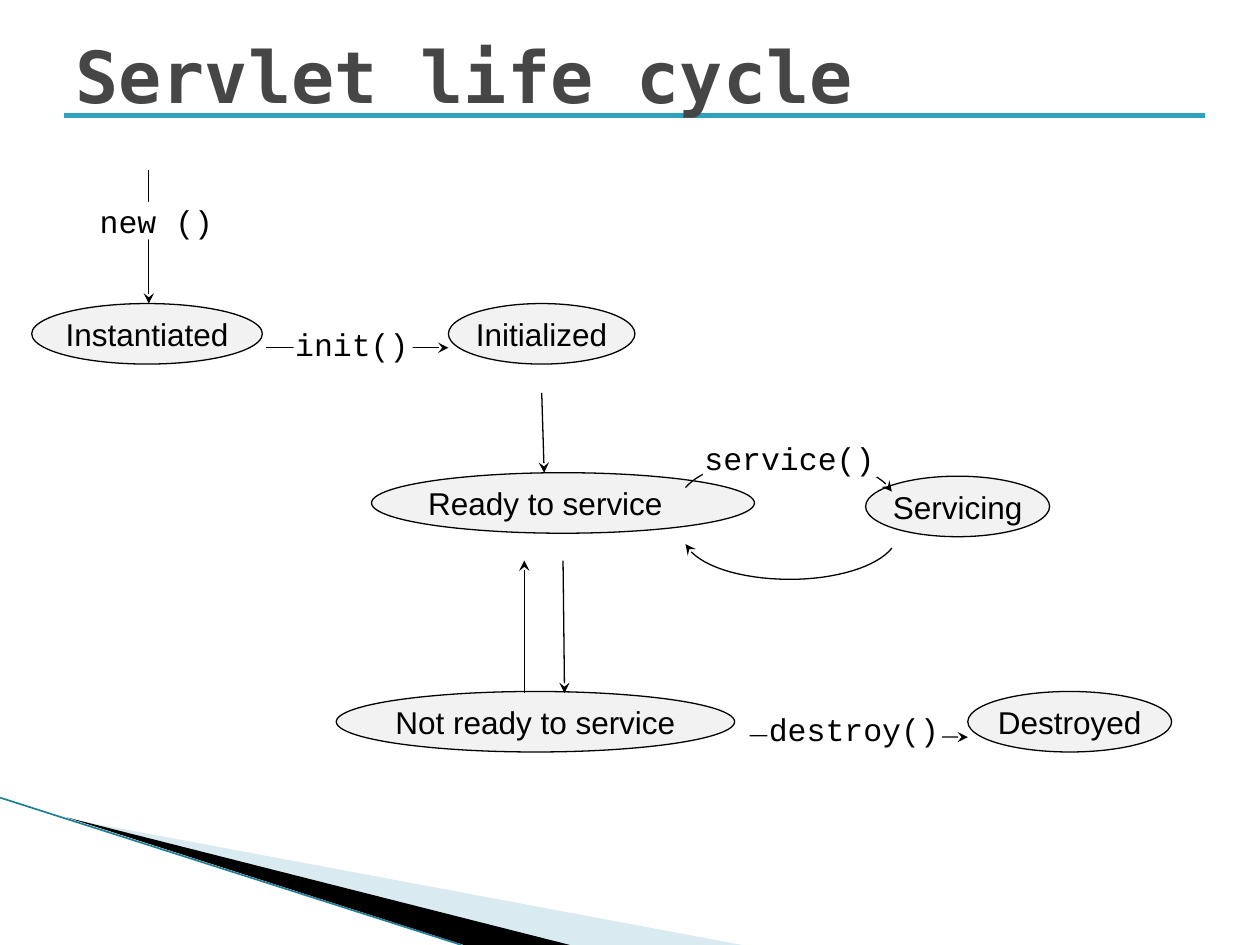
from dataclasses import dataclass
from lxml.etree import SubElement as Sub
from pptx import Presentation
from pptx.dml.color import RGBColor as Rgb
from pptx.enum.shapes import MSO_CONNECTOR as Conn, MSO_SHAPE as Kind
from pptx.enum.text import MSO_ANCHOR as Anchor, PP_ALIGN as Align
from pptx.oxml.ns import qn
from pptx.util import Cm, Pt


@dataclass(frozen=True)
class Theme:
    """Colours, fonts and type sizes of the slide."""
    ink: str = "000000"
    head: str = "464646"
    rule: str = "2DA2BF"
    edge: str = "1F7F96"
    pale: str = "A0CBDC"
    node: str = "F2F2F2"
    back: str = "FFFFFF"
    sans: str = "Arial"
    code: str = "Courier New"
    mono: str = "DejaVu Sans Mono"
    big: float = 41
    body: float = 18
    thin: float = 0.75


T = Theme()


def paint(fill, color):
    """Give a solid colour to a fill."""
    fill.solid()
    fill.fore_color.rgb = Rgb.from_string(color)


def stroke(line, color, width):
    """Set the colour and width of a line."""
    paint(line.fill, color)
    line.width = Pt(width)


def tip(shape):
    """Put a stealth arrowhead at the end of a line."""
    Sub(shape.line._get_or_add_ln(), qn("a:tailEnd"), type="stealth")


def write(shape, text, font, size, color, align, bold=False):
    """Add one run of text to a shape."""
    para = shape.text_frame.paragraphs[0]
    para.alignment = align
    run = para.add_run()
    run.text = text
    run.font.name, run.font.size, run.font.bold = font, Pt(size), bold
    run.font.color.rgb = Rgb.from_string(color)


def inset(frame, left, right, top):
    """Set the inner margins of a text frame."""
    frame.margin_left, frame.margin_right = Cm(left), Cm(right)
    frame.margin_top = frame.margin_bottom = Cm(top)


def link(slide, ends, color, width):
    """Draw a straight line through its two ends."""
    line = slide.shapes.add_connector(Conn.STRAIGHT, *map(Cm, ends))
    stroke(line.line, color, width)
    Sub(line._element.spPr, qn("a:effectLst"))
    return line


def trace(slide, dots, closed):
    """Draw an outline through points given in centimetres."""
    start, *rest = [(Cm(x), Cm(y)) for x, y in dots]
    pen = slide.shapes.build_freeform(*start)
    pen.add_line_segments(rest, close=closed)
    shape = pen.convert_to_shape()
    shape.shadow.inherit = False
    return shape


def bend(a, b, c, d, steps=16):
    """Return points along one cubic curve, without its first."""
    dots = []
    for i in range(1, steps + 1):
        t = i / steps
        u = 1 - t
        mix = (u ** 3, 3 * u * u * t, 3 * u * t * t, t ** 3)
        dots.append(tuple(sum(m * p[k] for m, p in zip(mix, (a, b, c, d)))
                          for k in (0, 1)))
    return dots


def wedge(slide, left, top):
    """Draw the corner wedge at the foot of the slide."""
    parts = (
        (T.pale, 40, ((1.4, 0.43), (14.96, 2.97), (11.45, 2.97))),
        (T.ink, 100, ((1.35, 0.4), (11.49, 2.97), (9.35, 2.97))),
    )
    for color, alpha, dots in parts:
        shape = trace(slide, [(left + x, top + y) for x, y in dots], True)
        paint(shape.fill, color)
        shape.line.fill.background()
        if alpha < 100:
            tone = shape._element.spPr.find(".//" + qn("a:srgbClr"))
            Sub(tone, qn("a:alpha"), val=str(alpha * 1000))
    link(slide, (left, top, left + 9.3, top + 2.97), T.edge, 0.95)


def title(slide, left, top, width, height):
    """Write the heading above its rule."""
    rule = top + 2.41
    link(slide, (left + 0.03, rule, left + 23.03, rule), T.rule, 3)
    box = slide.shapes.add_textbox(*map(Cm, (left, top, width, height)))
    box.text_frame.word_wrap = True
    box.text_frame.vertical_anchor = Anchor.MIDDLE
    write(box, "Servlet life cycle", T.mono, T.big, T.head, Align.LEFT, True)


def state(slide, text, left, top, width, right=0):
    """Draw one state as an ellipse."""
    node = slide.shapes.add_shape(Kind.OVAL, *map(Cm, (left, top, width, 1.22)))
    node.shadow.inherit = False
    paint(node.fill, T.node)
    stroke(node.line, T.ink, T.thin)
    frame = node.text_frame
    frame.word_wrap = False
    frame.vertical_anchor = Anchor.MIDDLE
    inset(frame, 0, right, 0.05)
    write(node, text, T.sans, T.body, T.ink, Align.CENTER)


def label(slide, text, left, top, width):
    """Draw one method name on a plain ground."""
    box = slide.shapes.add_textbox(*map(Cm, (left, top, width, 0.76)))
    paint(box.fill, T.back)
    box.text_frame.word_wrap = False
    inset(box.text_frame, 0.03, 0, 0)
    write(box, text, T.code, T.body, T.ink, Align.LEFT)


def cycle(slide, left, top):
    """Draw the states, moves and method names of the life cycle."""
    states = (
        ("Instantiated", 0, 2.69, 4.65),
        ("Initialized", 8.4, 2.69, 3.76),
        ("Ready to service", 6.85, 6.1, 7.72, 0.71),
        ("Servicing", 16.81, 6.17, 3.71),
        ("Not ready to service", 6.14, 10.51, 8.03),
        ("Destroyed", 18.87, 10.51, 4.11),
    )
    moves = (
        (2.36, 0, 2.36, 2.69),
        (4.72, 3.58, 8.4, 3.58),
        (10.28, 4.49, 10.33, 6.1),
        (9.93, 10.54, 9.93, 7.87),
        (10.71, 7.87, 10.74, 10.54),
        (14.47, 11.4, 18.87, 11.43),
    )
    bows = (
        ((13.18, 6.4), (13.48, 6.04), (14.3, 5.79), (15.24, 5.79),
         (16.23, 5.79), (17.11, 6.07), (17.34, 6.48)),
        ((17.34, 7.62), (17.04, 8), (16.2, 8.25), (15.29, 8.25),
         (14.27, 8.25), (13.41, 7.97), (13.18, 7.54)),
    )
    names = (
        ("new ()", 1.34, 0.64, 2.4),
        ("init()", 5.28, 3.12, 2.4),
        ("service()", 13.53, 5.43, 3.52),
        ("destroy()", 14.83, 10.88, 3.52),
    )
    for text, x, y, *size in states:
        state(slide, text, left + x, top + y, *size)
    for x, y, to_x, to_y in moves:
        ends = (left + x, top + y, left + to_x, top + to_y)
        tip(link(slide, ends, T.ink, T.thin))
    for bow in bows:
        dots = [(left + x, top + y) for x, y in bow]
        curve = trace(slide, dots[:1] + bend(*dots[:4]) + bend(*dots[3:]), False)
        curve.fill.background()
        stroke(curve.line, T.ink, T.thin)
        tip(curve)
    for text, x, y, width in names:
        label(slide, text, left + x, top + y, width)


def main():
    """Build the slide and save it."""
    deck = Presentation()
    deck.slide_width, deck.slide_height = Cm(25.4), Cm(19.05)
    slide = deck.slides.add_slide(deck.slide_layouts[6])
    wedge(slide, 0, 16.08)
    title(slide, 1.27, -0.08, 22.86, 3.18)
    cycle(slide, 0.64, 3.43)
    deck.save("out.pptx")


main()
